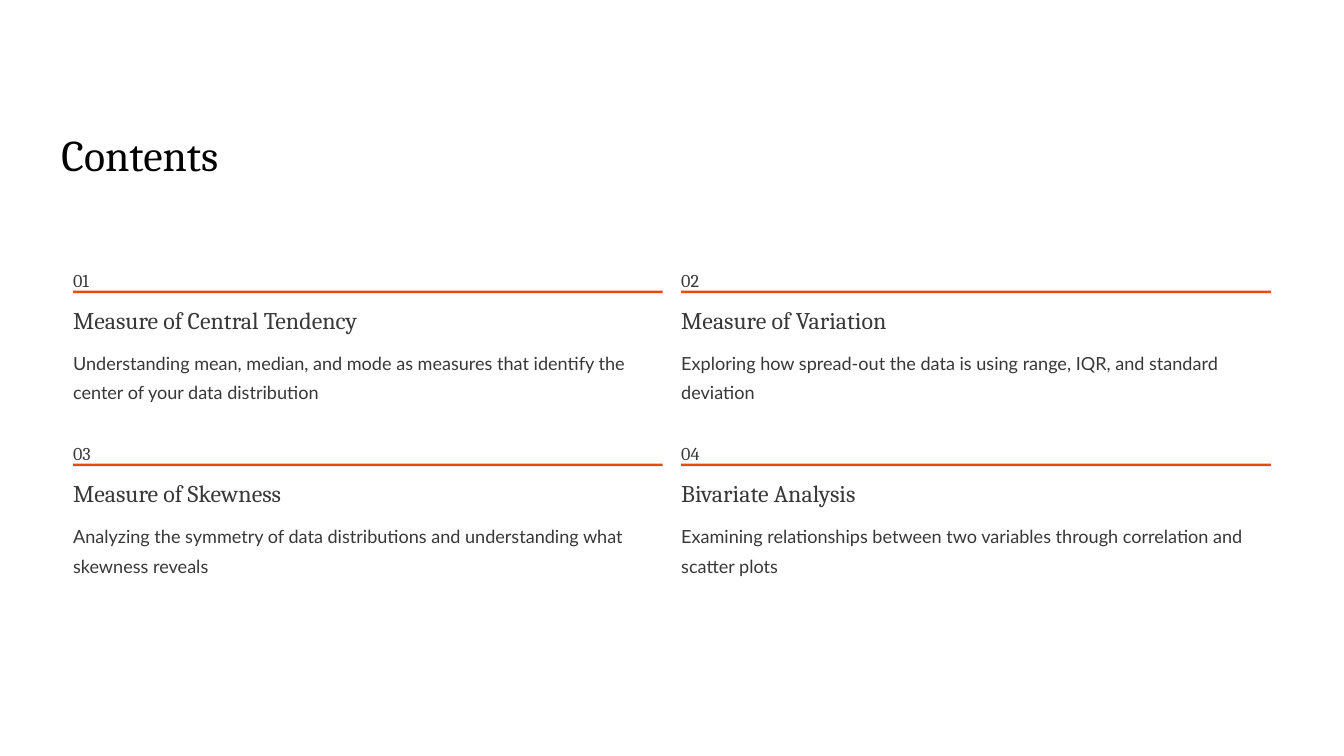
from pptx import Presentation
from pptx.dml.color import RGBColor
from pptx.enum.shapes import MSO_SHAPE
from pptx.util import Inches, Pt

TITLE = "Contents"
TOPICS = [
    ("Measure of Central Tendency", 3.69,
     "Understanding mean, median, and mode as measures that identify the center of your data distribution"),
    ("Measure of Variation", 2.85,
     "Exploring how spread-out the data is using range, IQR, and standard deviation"),
    ("Measure of Skewness", 2.85,
     "Analyzing the symmetry of data distributions and understanding what skewness reveals"),
    ("Bivariate Analysis", 2.85,
     "Examining relationships between two variables through correlation and scatter plots"),
]

WHITE = RGBColor(0xFF, 0xFF, 0xFF)
BLACK = RGBColor(0x02, 0x02, 0x02)
GRAY = RGBColor(0x38, 0x38, 0x38)
ORANGE = RGBColor(0xE0, 0x4F, 0x00)
HEADING_FONT, BODY_FONT = "Cambria", "Lato"

COLUMNS = 2
LEFT, TOP = 0.87, 3.12
COLUMN_STEP, ROW_STEP = 7.24, 2.06
TOPIC_WIDTH = 7.02


def add_text(slide, text, left, top, width, height, size, spacing,
             font=HEADING_FONT, color=GRAY, wrap=False):
    box = slide.shapes.add_textbox(Inches(left), Inches(top), Inches(width), Inches(height))
    frame = box.text_frame
    frame.margin_left = frame.margin_right = frame.margin_top = frame.margin_bottom = 0
    frame.word_wrap = wrap
    paragraph = frame.paragraphs[0]
    paragraph.text = text
    paragraph.line_spacing = Pt(spacing)
    paragraph.font.name = font
    paragraph.font.size = Pt(size)
    paragraph.font.color.rgb = color


def add_rule(slide, left, top):
    rule = slide.shapes.add_shape(
        MSO_SHAPE.RECTANGLE, Inches(left), Inches(top), Inches(TOPIC_WIDTH), Inches(0.03))
    rule.shadow.inherit = False
    rule.fill.solid()
    rule.fill.fore_color.rgb = ORANGE
    rule.line.fill.background()


def main():
    presentation = Presentation()
    presentation.slide_width, presentation.slide_height = Inches(16), Inches(9)
    slide = presentation.slides.add_slide(presentation.slide_layouts[6])
    slide.background.fill.solid()
    slide.background.fill.fore_color.rgb = WHITE

    for index, (heading, heading_width, description) in enumerate(TOPICS):
        row, column = divmod(index, COLUMNS)
        left = LEFT + column * COLUMN_STEP
        top = TOP + row * ROW_STEP
        add_text(slide, f"{index + 1:02}", left, top, 0.22, 0.27, 15.5, 25)
        add_rule(slide, left, top + 0.34)
        add_text(slide, heading, left, top + 0.5, heading_width, 0.36, 20.5, 25.5)
        add_text(slide, description, left, top + 0.99, TOPIC_WIDTH, 0.69, 15.5, 25,
                 font=BODY_FONT, wrap=True)

    add_text(slide, TITLE, 0.73, 1.5, 5.21, 0.65, 37.5, 46.5, color=BLACK)
    presentation.save("out.pptx")


if __name__ == "__main__":
    main()
